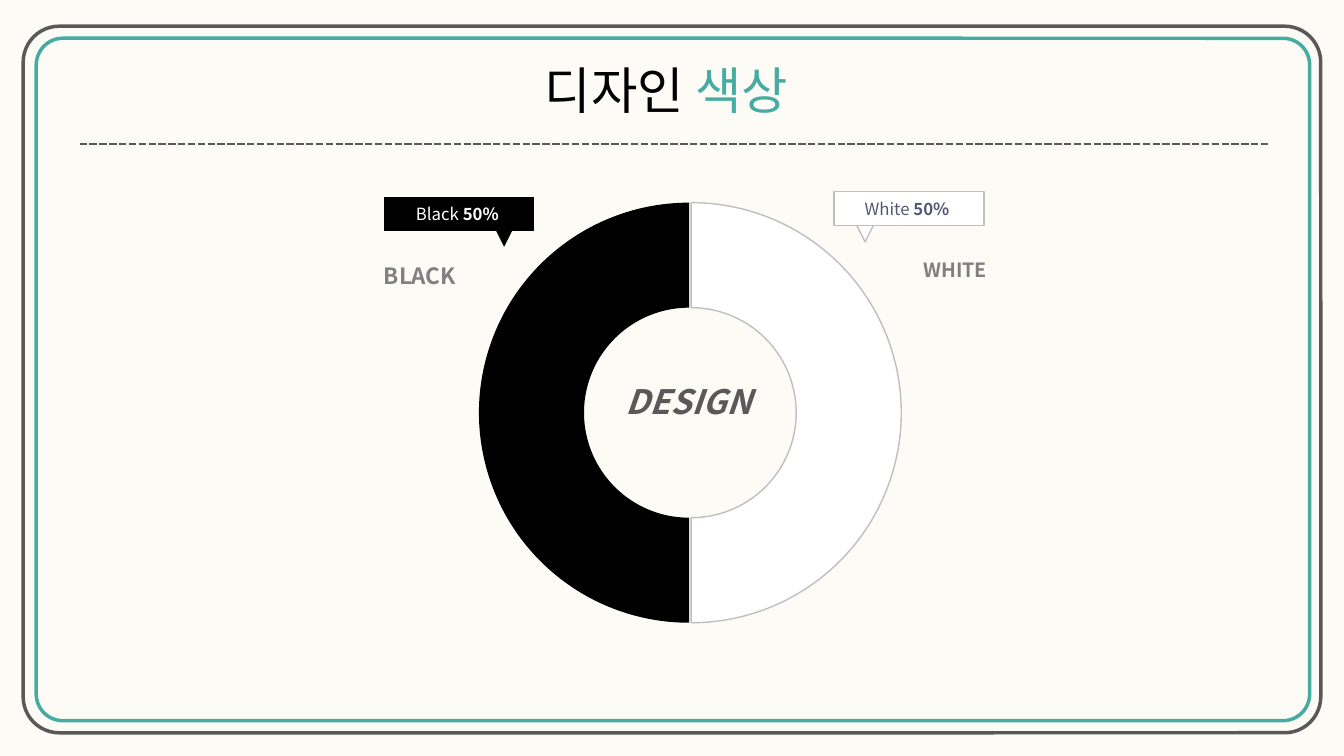
from lxml import etree
from pptx import Presentation
from pptx.chart.data import CategoryChartData
from pptx.dml.color import RGBColor
from pptx.enum.chart import XL_CHART_TYPE
from pptx.enum.dml import MSO_LINE
from pptx.enum.shapes import MSO_CONNECTOR, MSO_SHAPE
from pptx.enum.text import MSO_ANCHOR, MSO_AUTO_SIZE, PP_ALIGN
from pptx.oxml import parse_xml
from pptx.oxml.ns import nsdecls, qn
from pptx.util import Inches, Pt

FONT = "Noto Sans CJK KR"
CREAM = RGBColor(0xFC, 0xFB, 0xF6)
TEAL = RGBColor(0x46, 0xAC, 0xA1)
LIGHT_TEAL = RGBColor(0x7C, 0xCA, 0xC1)
SLATE = RGBColor(0x44, 0x54, 0x6A)
INDIGO = RGBColor(0x54, 0x58, 0x71)
DARK_GRAY = RGBColor(0x59, 0x59, 0x59)
GRAY = RGBColor(0x80, 0x80, 0x80)
LIGHT_GRAY = RGBColor(0xBF, 0xBF, 0xBF)
BLACK = RGBColor(0, 0, 0)
WHITE = RGBColor(0xFF, 0xFF, 0xFF)

ROUNDED = MSO_SHAPE.ROUNDED_RECTANGLE
PROCESS = MSO_SHAPE.FLOWCHART_PROCESS
TRIANGLE = MSO_SHAPE.ISOSCELES_TRIANGLE
STRAIGHT = MSO_CONNECTOR.STRAIGHT
DASH = MSO_LINE.SQUARE_DOT
DOUGHNUT = XL_CHART_TYPE.DOUGHNUT
LEFT, CENTER, RIGHT = PP_ALIGN.LEFT, PP_ALIGN.CENTER, PP_ALIGN.RIGHT
MIDDLE, TOP = MSO_ANCHOR.MIDDLE, MSO_ANCHOR.TOP
NO_AUTOFIT = MSO_AUTO_SIZE.NONE


def style_paragraph(paragraph, size, color, align=CENTER):
    paragraph.alignment = align
    font = paragraph.font
    font.name, font.size = FONT, Pt(size)
    font.color.rgb = color
    properties = paragraph._p.pPr.find(qn("a:defRPr"))
    etree.SubElement(properties, qn("a:ea")).set("typeface", FONT)


def add_outlined(shapes, preset, box, fill=None, line=None, width=1):
    shape = shapes.add_shape(preset, *map(Inches, box))
    shape.shadow.inherit = False
    if fill is None:
        shape.fill.background()
    else:
        shape.fill.solid()
        shape.fill.fore_color.rgb = fill
    if line is None:
        shape.line.fill.background()
    else:
        shape.line.color.rgb = line
        shape.line.width = Pt(width)
    return shape


def add_frame(slide, box, radius, color):
    frame = add_outlined(slide.shapes, ROUNDED, box, line=color, width=2.5)
    frame.adjustments[0] = radius


def set_title(slide):
    title = slide.shapes.title
    title.left, title.top = Inches(5.16), Inches(0.53)
    title.width, title.height = Inches(2.9), Inches(0.71)
    frame = title.text_frame
    frame.auto_size = NO_AUTOFIT
    frame.word_wrap = False
    frame.vertical_anchor = MIDDLE
    paragraph = frame.paragraphs[0]
    style_paragraph(paragraph, 36, BLACK)
    paragraph.add_run().text = "디자인"
    accent = paragraph.add_run()
    accent.text = " 색상"
    accent.font.color.rgb = TEAL


def add_divider(slide):
    divider = slide.shapes.add_connector(
        STRAIGHT, Inches(0.79), Inches(1.43), Inches(12.6), Inches(1.43))
    divider.line.color.rgb = DARK_GRAY
    divider.line.width = Pt(1.75)
    divider.line.dash_style = DASH
    etree.SubElement(divider._element.spPr, qn("a:effectLst"))


def add_doughnut(slide):
    width, height, share = 6.61, 4.41, 0.95
    data = CategoryChartData()
    data.categories = ["1", "2", "3", "4", "5"]
    data.add_series("Series 1", (50, 50, 0, 0, 0))
    chart = slide.shapes.add_chart(
        DOUGHNUT, Inches(3.54), Inches(1.89), Inches(width), Inches(height), data).chart
    chart.has_legend = False
    chart.has_title = False
    chart.font.name, chart.font.size = FONT, Pt(10)
    chart.font.color.rgb = BLACK
    plot = chart.plots[0]
    plot.vary_by_categories = True
    series = plot.series[0]
    for index, color in enumerate((WHITE, BLACK, LIGHT_TEAL, TEAL, SLATE)):
        point = series.points[index].format
        point.fill.solid()
        point.fill.fore_color.rgb = color
        if color == WHITE:
            point.line.color.rgb = LIGHT_GRAY
            point.line.width = Pt(1)
        else:
            point.line.fill.background()
    series._element.find(qn("c:dPt")).addprevious(
        parse_xml(f'<c:explosion {nsdecls("c")} val="1"/>'))
    plot._element.find(qn("c:holeSize")).set("val", "70")

    plot_area = plot._element.getparent()
    for layout in plot_area.findall(qn("c:layout")):
        plot_area.remove(layout)
    ring_width = share * height / width
    layout = etree.Element(qn("c:layout"))
    manual = etree.SubElement(layout, qn("c:manualLayout"))
    for tag, value in (
            ("layoutTarget", "inner"), ("xMode", "edge"), ("yMode", "edge"),
            ("x", (1 - ring_width) / 2), ("y", (1 - share) / 2),
            ("w", ring_width), ("h", share)):
        etree.SubElement(manual, qn(f"c:{tag}")).set("val", str(value))
    plot_area.insert(0, layout)


def add_callout(slide, left, top, pointer_left, name, fill, text_color, line=None):
    shapes = slide.shapes.add_group_shape().shapes
    pointer = add_outlined(shapes, TRIANGLE, (pointer_left, top + 0.28, 0.22, 0.22), fill, line)
    pointer.rotation = 180
    label = add_outlined(shapes, PROCESS, (left, top, 1.49, 0.34), fill, line)
    label.text_frame.vertical_anchor = MIDDLE
    paragraph = label.text_frame.paragraphs[0]
    style_paragraph(paragraph, 12, text_color)
    paragraph.add_run().text = f"{name} "
    percent = paragraph.add_run()
    percent.text = "50% "
    percent.font.bold = True


def add_label(slide, box, text, size, color, align, spacing=None, italic=None):
    frame = slide.shapes.add_textbox(*map(Inches, box)).text_frame
    frame.word_wrap = True
    frame.vertical_anchor = TOP
    paragraph = frame.paragraphs[0]
    paragraph.text = text
    style_paragraph(paragraph, size, color, align)
    paragraph.font.bold = True
    paragraph.font.italic = italic
    paragraph.line_spacing = spacing


def main():
    presentation = Presentation()
    presentation.slide_width = Inches(13.33)
    presentation.slide_height = Inches(7.5)
    slide = presentation.slides.add_slide(presentation.slide_layouts[5])
    slide.background.fill.solid()
    slide.background.fill.fore_color.rgb = CREAM

    add_frame(slide, (0.36, 0.38, 12.63, 6.77), 0.039, TEAL)
    add_frame(slide, (0.23, 0.26, 12.87, 7.01), 0.051, DARK_GRAY)
    set_title(slide)
    add_divider(slide)
    add_doughnut(slide)
    add_callout(slide, 8.27, 1.9, 8.47, "White", WHITE, INDIGO, LIGHT_GRAY)
    add_callout(slide, 3.81, 1.95, 4.89, "Black", BLACK, WHITE)
    add_label(slide, (5.39, 3.73, 2.88, 0.5), "DESIGN", 24, DARK_GRAY, CENTER, italic=True)
    add_label(slide, (9.06, 2.39, 2.89, 0.41), "WHITE", 14, GRAY, LEFT, spacing=1.5)
    add_label(slide, (1.73, 2.42, 2.89, 0.7), "BLACK", 16, GRAY, RIGHT, spacing=1.5)
    presentation.save("out.pptx")


if __name__ == "__main__":
    main()
